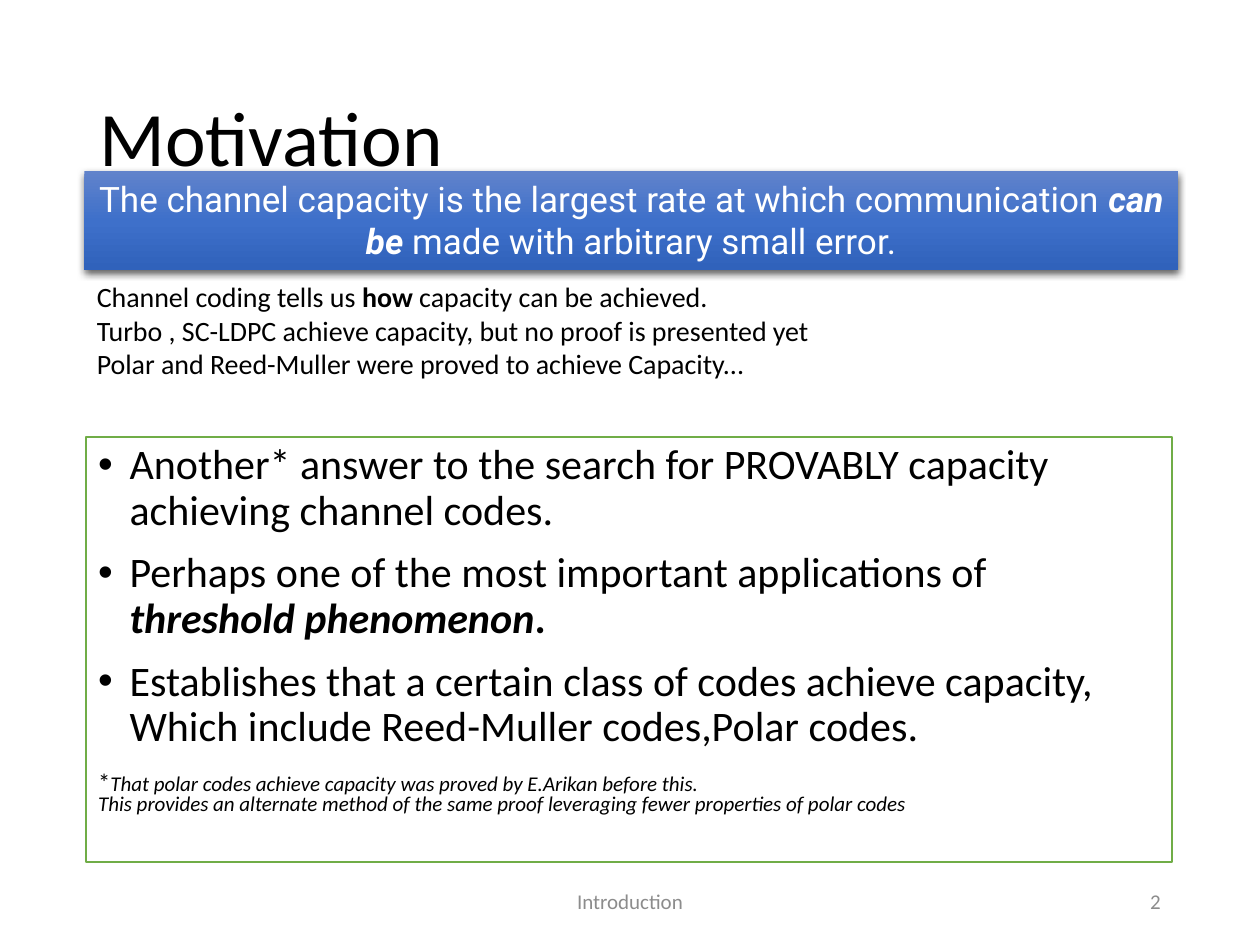
from copy import deepcopy

from lxml.etree import SubElement
from pptx import Presentation
from pptx.dml.color import RGBColor
from pptx.enum.shapes import MSO_SHAPE as Shape
from pptx.enum.text import MSO_ANCHOR as Anchor, MSO_AUTO_SIZE as AutoSize, PP_ALIGN as Align
from pptx.oxml.ns import qn
from pptx.util import Inches, Pt

BLACK = RGBColor(0x00, 0x00, 0x00)
WHITE = RGBColor(0xFF, 0xFF, 0xFF)
GRAY = RGBColor(0x8C, 0x8C, 0x8C)
GREEN = RGBColor(0x70, 0xAD, 0x47)
BANNER_STOPS = [
    (0, RGBColor(0x61, 0x83, 0xCB)),
    (0.5, RGBColor(0x3E, 0x70, 0xCA)),
    (1, RGBColor(0x30, 0x62, 0xBB)),
]
BODY_FONT, BANNER_FONT = "Calibri", "Roboto"
WIDTH, HEIGHT = 10, 7.5
LEFT = 0.67
FOOTER_TOP, FOOTER_HEIGHT = 6.95, 0.4

DEFINITION = [
    ("The channel capacity is the largest rate at which communication ", ""),
    ("can be", "bi"),
    (" made with arbitrary small error.", ""),
]
CODING_FACTS = [
    [("Channel coding tells us ", ""), ("how ", "b"), ("capacity can be achieved.", "")],
    [("Turbo , SC-LDPC achieve capacity, but no proof is presented yet", "")],
    [("Polar and Reed-Muller were proved to achieve Capacity...", "")],
]
CONTRIBUTIONS = [
    [("Another* answer to the search for PROVABLY capacity achieving channel codes.", "")],
    [("Perhaps one of the most important applications of ", ""),
     ("threshold phenomenon", "bi"), (".", "b")],
    [("Establishes that a certain class of codes achieve capacity, "
      "Which include Reed-Muller codes,Polar codes.", "")],
]
FOOTNOTES = [
    [("*", ""), ("That polar codes achieve capacity was proved by E.Arikan before this.", "i")],
    [("This provides an alternate method of the same proof "
      "leveraging fewer properties of polar codes", "i")],
]


def box(left, top, width, height):
    """Convert a box in inches to slide units."""
    return [Inches(length) for length in (left, top, width, height)]


def write(paragraph, pieces, size, color=BLACK, font=BODY_FONT, align=Align.LEFT):
    """Fill a paragraph with (text, style) pieces, where style holds b and i."""
    paragraph.alignment = align
    for text, style in pieces:
        run = paragraph.add_run()
        run.text = text
        run.font.name, run.font.size = font, Pt(size)
        run.font.bold, run.font.italic = "b" in style, "i" in style
        run.font.color.rgb = color


def next_paragraph(frame):
    """Return the empty first paragraph of a frame, or a new one."""
    first = frame.paragraphs[0]
    return frame.add_paragraph() if first.runs else first


def add_text(slide, area, lines, size, color=BLACK, align=Align.LEFT, anchor=Anchor.TOP):
    """Add a wrapped text box with one paragraph per line."""
    frame = slide.shapes.add_textbox(*box(*area)).text_frame
    frame.word_wrap = True
    frame.vertical_anchor = anchor
    for pieces in lines:
        write(next_paragraph(frame), pieces, size, color, align=align)


def add_rectangle(slide, area, anchor):
    """Add a plain rectangle without shadow."""
    rectangle = slide.shapes.add_shape(Shape.RECTANGLE, *box(*area))
    rectangle.shadow.inherit = False
    rectangle.text_frame.word_wrap = True
    rectangle.text_frame.vertical_anchor = anchor
    return rectangle


def set_title(slide, text):
    """Place and format the title placeholder."""
    title = slide.shapes.title
    title.left, title.top, title.width, title.height = box(0.69, 0.4, 8.63, 1.45)
    frame = title.text_frame
    frame.auto_size = AutoSize.NONE
    frame.vertical_anchor = Anchor.MIDDLE
    write(frame.paragraphs[0], [(text, "")], 44)
    frame.paragraphs[0].line_spacing = 0.9


def add_shadow(shape):
    """Give a shape a soft shadow straight below it."""
    effects = shape._element.spPr.find(qn("a:effectLst"))
    shadow = SubElement(effects, qn("a:outerShdw"), blurRad=str(Pt(4.5)), dist=str(Pt(1.5)),
                        dir="5400000", algn="ctr", rotWithShape="0")
    tone = SubElement(shadow, qn("a:srgbClr"), val="000000")
    SubElement(tone, qn("a:alpha"), val="63000")


def add_banner(slide):
    """Add the gradient banner that defines channel capacity."""
    banner = add_rectangle(slide, (LEFT, 1.36, 8.68, 0.78), Anchor.TOP)
    banner.line.fill.background()
    banner.fill.gradient()
    banner.fill.gradient_angle = 270
    stops = banner._element.spPr.find(".//" + qn("a:gsLst"))
    stops.insert(1, deepcopy(stops[0]))
    for stop, (position, color) in zip(banner.fill.gradient_stops, BANNER_STOPS):
        stop.position, stop.color.rgb = position, color
    add_shadow(banner)
    write(banner.text_frame.paragraphs[0], DEFINITION, 20, WHITE, BANNER_FONT, Align.CENTER)


def add_bullet(paragraph):
    """Give a paragraph a hanging round bullet."""
    properties = paragraph._p.get_or_add_pPr()
    properties.set("marL", str(Inches(0.25)))
    properties.set("indent", str(-Inches(0.25)))
    SubElement(properties, qn("a:buFont"), typeface="Arial")
    SubElement(properties, qn("a:buChar"), char="•")


def add_contributions(slide):
    """Add the framed bullets with their footnotes."""
    panel = add_rectangle(slide, (0.68, 3.47, 8.62, 3.37), Anchor.TOP)
    panel.fill.solid()
    panel.fill.fore_color.rgb = WHITE
    panel.line.color.rgb = GREEN
    panel.line.width = Pt(1)
    for pieces in CONTRIBUTIONS:
        bullet = next_paragraph(panel.text_frame)
        write(bullet, pieces, 24)
        bullet.line_spacing, bullet.space_before = 0.9, Pt(10)
        add_bullet(bullet)
    for pieces, gap in zip(FOOTNOTES, (22, 10)):
        note = next_paragraph(panel.text_frame)
        write(note, pieces, 12)
        note.line_spacing, note.space_before = 0.1, Pt(gap)
    note_mark = panel.text_frame.paragraphs[len(CONTRIBUTIONS)].runs[0]
    note_mark.font.size = Pt(14)


def main():
    """Build the motivation slide."""
    deck = Presentation()
    deck.slide_width, deck.slide_height = Inches(WIDTH), Inches(HEIGHT)
    slide = deck.slides.add_slide(deck.slide_layouts[5])
    set_title(slide, "Motivation")
    add_contributions(slide)
    add_banner(slide)
    for text, left, width, align in (("2", 7.06, 2.25, Align.RIGHT),
                                     ("Introduction", 3.31, 3.38, Align.CENTER)):
        add_text(slide, (left, FOOTER_TOP, width, FOOTER_HEIGHT), [[(text, "")]], 12,
                 GRAY, align, Anchor.MIDDLE)
    add_text(slide, (LEFT, 2.17, 8.76, 1.08), CODING_FACTS, 16)
    deck.save("out.pptx")


if __name__ == "__main__":
    main()
